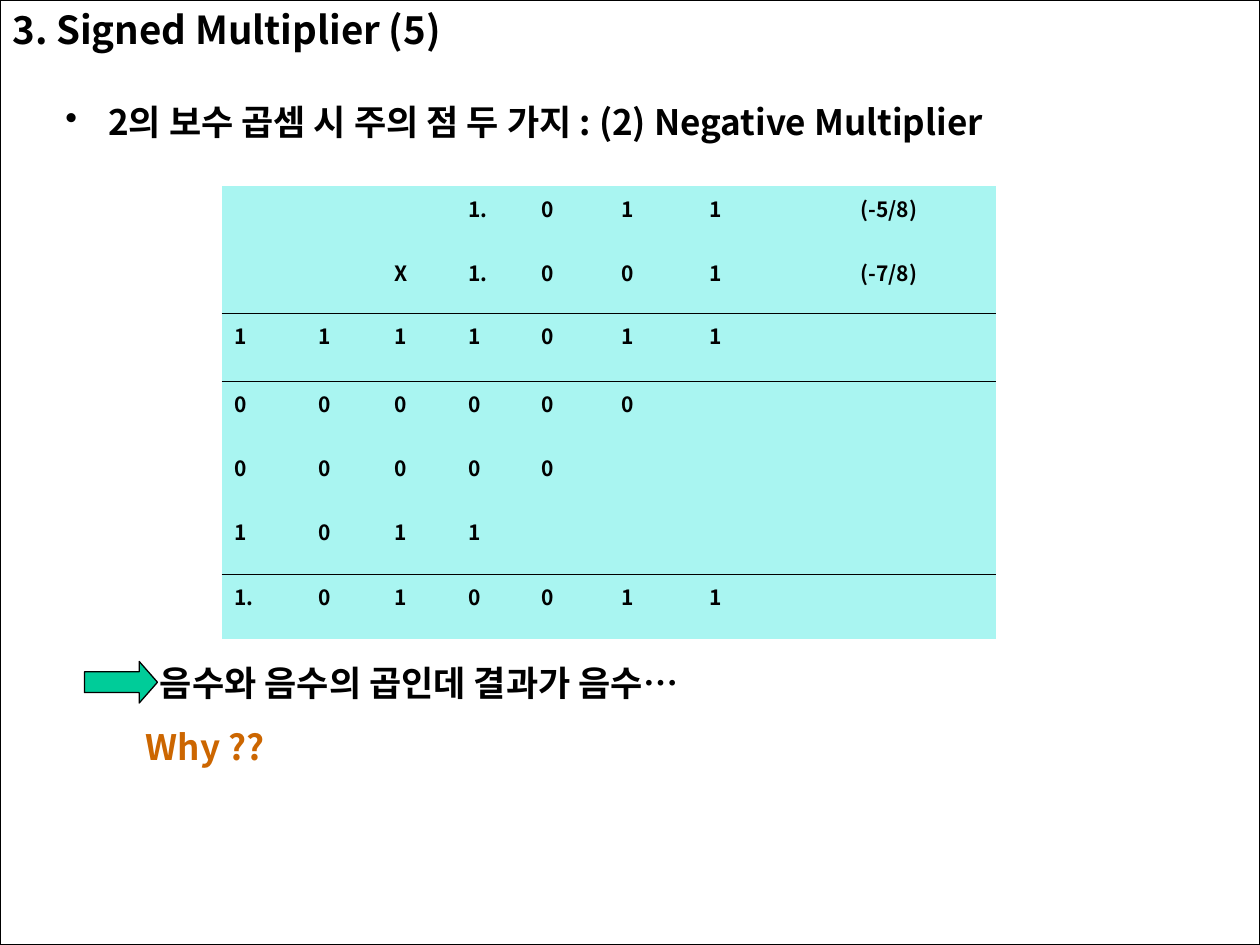
from pptx import Presentation
from pptx.dml.color import RGBColor
from pptx.enum.shapes import MSO_SHAPE as Shape
from pptx.enum.text import MSO_AUTO_SIZE as AutoSize, PP_ALIGN as Align
from pptx.oxml import parse_xml
from pptx.oxml.ns import nsdecls, qn
from pptx.util import Inches, Pt
from lxml.etree import SubElement

BLACK = RGBColor(0x00, 0x00, 0x00)
ORANGE = RGBColor(0xCC, 0x66, 0x00)
GREEN = RGBColor(0x00, 0xCC, 0x99)
AQUA = RGBColor(0xA9, 0xF5, 0xF1)
FONT = "Noto Sans CJK KR"
NO_STYLE = "{2D5ABB26-0587-4C30-8999-92F81FD0307C}"

COLUMN_WIDTHS = [0.67, 0.6, 0.59, 0.58, 0.63, 0.7, 0.67, 1.71]
ROW_HEIGHTS = [0.51, 0.5, 0.54, 0.51, 0.51, 0.51, 0.51]
MULTIPLICATION = [
    ["", "", "", "1.", "0", "1", "1", "(-5/8)"],
    ["", "", "X", "1.", "0", "0", "1", "(-7/8)"],
    ["1", "1", "1", "1", "0", "1", "1", ""],
    ["0", "0", "0", "0", "0", "0", "", ""],
    ["0", "0", "0", "0", "0", "", "", ""],
    ["1", "0", "1", "1", "", "", "", ""],
    ["1.", "0", "1", "0", "0", "1", "1", ""],
]
RULED_ROWS = [1, 5]


def add_span(para, text, size, color=BLACK):
    span = para.add_run()
    span.text = text
    span.font.size = Pt(size)
    span.font.bold = True
    span.font.color.rgb = color
    span.font.name = FONT
    SubElement(span.font._element, qn("a:ea"), typeface=FONT)


def add_box(slide, left, top, width, height):
    box = slide.shapes.add_textbox(Inches(left), Inches(top), Inches(width), Inches(height))
    box.text_frame.word_wrap = True
    box.text_frame.auto_size = AutoSize.SHAPE_TO_FIT_TEXT
    return box.text_frame


def indent(para, margin):
    para.space_before = Pt(12.5)
    para._p.get_or_add_pPr().set("marL", str(Inches(margin)))


def add_bullet(para, hanging):
    props = para._p.get_or_add_pPr()
    props.set("indent", str(-Inches(hanging)))
    SubElement(props, qn("a:buChar"), char="•")


def add_shape(slide, kind, left, top, width, height, fill=None):
    shape = slide.shapes.add_shape(kind, Inches(left), Inches(top), Inches(width), Inches(height))
    shape.shadow.inherit = False
    shape.line.color.rgb = BLACK
    shape.line.width = Pt(0.75)
    if fill is None:
        shape.fill.background()
    else:
        shape.fill.solid()
        shape.fill.fore_color.rgb = fill
    return shape


def add_border(cell, side):
    border = parse_xml(
        f'<a:{side} {nsdecls("a")} w="{Pt(0.45)}"><a:solidFill>'
        f'<a:srgbClr val="{BLACK}"/></a:solidFill></a:{side}>'
    )
    cell._tc.get_or_add_tcPr().insert(0, border)


def fill_cell(cell, text, align):
    cell.fill.solid()
    cell.fill.fore_color.rgb = AQUA
    if text:
        para = cell.text_frame.paragraphs[0]
        para.space_before = Pt(3)
        para.alignment = align
        add_span(para, text, 12)


def add_multiplication(slide, left, top):
    frame = slide.shapes.add_table(
        len(ROW_HEIGHTS), len(COLUMN_WIDTHS), Inches(left), Inches(top),
        Inches(sum(COLUMN_WIDTHS)), Inches(sum(ROW_HEIGHTS)))
    table = frame.table
    table.first_row = False
    table.horz_banding = False
    table._tbl.tblPr.find(qn("a:tableStyleId")).text = NO_STYLE
    for column, width in zip(table.columns, COLUMN_WIDTHS):
        column.width = Inches(width)
    last_column = len(COLUMN_WIDTHS) - 1
    for r, (row, height) in enumerate(zip(table.rows, ROW_HEIGHTS)):
        row.height = Inches(height)
        for c, cell in enumerate(row.cells):
            fill_cell(cell, MULTIPLICATION[r][c], Align.CENTER if c == last_column else Align.LEFT)
            if r in RULED_ROWS:
                add_border(cell, "lnB")
            if r - 1 in RULED_ROWS:
                add_border(cell, "lnT")


def add_conclusion(slide):
    frame = add_box(slide, 0.5, 5.2, 9.08, 0.93)
    result = frame.paragraphs[0]
    indent(result, 0.67)
    add_span(result, "음수와 음수의 곱인데 결과가 음수…", 20)
    question = frame.add_paragraph()
    indent(question, 0.56)
    add_span(question, "Why ??", 20, ORANGE)


def main():
    deck = Presentation()
    deck.slide_width, deck.slide_height = Inches(10), Inches(7.5)
    slide = deck.slides.add_slide(deck.slide_layouts[6])

    add_shape(slide, Shape.RECTANGLE, 0, 0, 10, 7.5)
    title = add_box(slide, 0, 0, 5.29, 0.47).paragraphs[0]
    add_span(title, "3. Signed Multiplier (5)", 22)

    topic = add_box(slide, 0.42, 0.75, 9.08, 0.44).paragraphs[0]
    indent(topic, 0.34)
    add_bullet(topic, 0.34)
    add_span(topic, "2의 보수 곱셈 시 주의 점 두 가지 : (2) Negative Multiplier", 20)

    add_multiplication(slide, 1.76, 1.48)
    add_conclusion(slide)
    arrow = add_shape(slide, Shape.RIGHT_ARROW, 0.67, 5.25, 0.58, 0.33, GREEN)
    arrow.adjustments[1] = 0.44
    deck.save("out.pptx")


if __name__ == "__main__":
    main()
